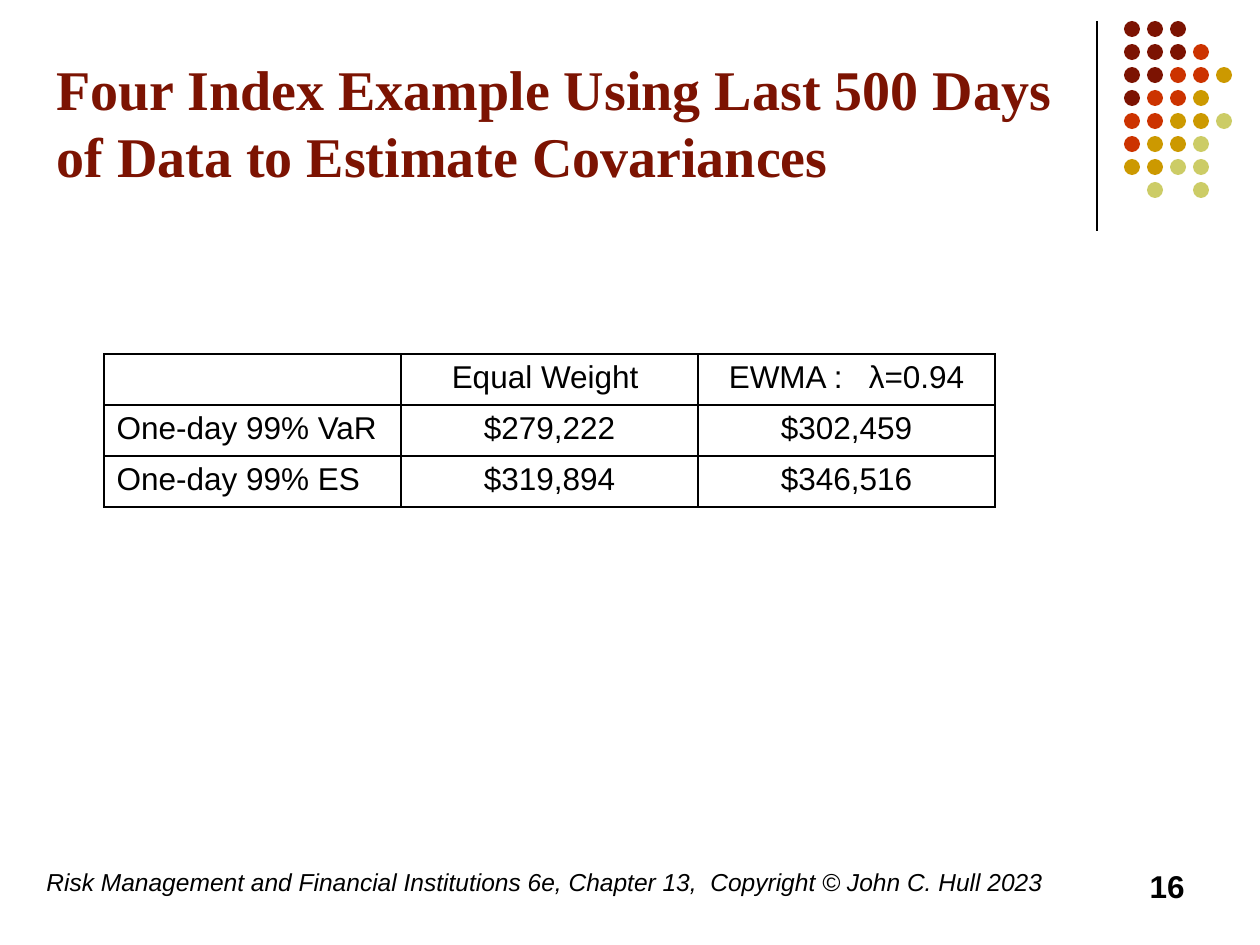
from lxml import etree
from pptx import Presentation
from pptx.dml.color import RGBColor
from pptx.enum.shapes import MSO_CONNECTOR, MSO_SHAPE
from pptx.enum.text import MSO_ANCHOR, PP_ALIGN
from pptx.oxml.ns import qn
from pptx.util import Pt

PX = 914400 / 126
LEFT, CENTER, RIGHT = PP_ALIGN.LEFT, PP_ALIGN.CENTER, PP_ALIGN.RIGHT
TOP, BOTTOM = MSO_ANCHOR.TOP, MSO_ANCHOR.BOTTOM
OVAL, STRAIGHT = MSO_SHAPE.OVAL, MSO_CONNECTOR.STRAIGHT

BLACK = "000000"
MAROON = "7C1302"
DOT_COLORS = {"M": MAROON, "R": "CC3300", "G": "CC9900", "L": "CCCC66"}
DOT_ROWS = ["MMM", "MMMR", "MMRRG", "MRRG", "RRGGL", "RGGL", "GGLL", " L L"]
DOT_SIZE = 16
DOT_PITCH = 23

# A cell is a list of (text, letter spacing in hundredths of a point).
TABLE_ROWS = [
    [[], [("Equal Weight ", 0)], [("EWMA :", 0), (" ", 1000), ("λ=0.94", 0)]],
    [[("One-day 99% VaR", 0)], [("$279,222", 0)], [("$302,459", 0)]],
    [[("One-day 99% ES", 0)], [("$319,894", 0)], [("$346,516", 0)]],
]
COLUMN_WIDTH = 297
ROW_HEIGHT = 51


def px(*lengths):
    return [round(length * PX) for length in lengths]


def rgb(value):
    return RGBColor.from_string(value)


def write(frame, spans, size=18, font="Arial", color=BLACK, bold=False,
          italic=False, align=LEFT):
    """Fill the first paragraph with (text, letter spacing) spans."""
    para = frame.paragraphs[0]
    para.alignment = align
    for text, spacing in spans:
        span = para.add_run()
        span.text = text
        span.font.size = Pt(size)
        span.font.name = font
        span.font.color.rgb = rgb(color)
        span.font.bold = bold
        span.font.italic = italic
        if spacing:
            span.font._element.set("spc", str(spacing))


def add_text(page, text, left, top, width, height, anchor=TOP, **style):
    box = page.shapes.add_textbox(*px(left, top, width, height))
    box.text_frame.word_wrap = True
    box.text_frame.vertical_anchor = anchor
    write(box.text_frame, [(text, 0)], **style)


def add_divider(page, x, top, bottom):
    line = page.shapes.add_connector(STRAIGHT, *px(x, top, x, bottom))
    line.line.color.rgb = rgb(BLACK)
    line.line.width = Pt(0.75)
    etree.SubElement(line._element.spPr, qn("a:effectLst"))


def add_dots(page, left, top):
    group = page.shapes.add_group_shape()
    for row, codes in enumerate(DOT_ROWS):
        for column, code in enumerate(codes):
            if code == " ":
                continue
            dot = group.shapes.add_shape(OVAL, *px(
                left + column * DOT_PITCH, top + row * DOT_PITCH,
                DOT_SIZE, DOT_SIZE))
            dot.shadow.inherit = False
            dot.fill.solid()
            dot.fill.fore_color.rgb = rgb(DOT_COLORS[code])
            dot.line.fill.background()


def add_borders(cell):
    properties = cell._tc.get_or_add_tcPr()
    for index, side in enumerate(("lnL", "lnR", "lnT", "lnB")):
        border = etree.Element(qn(f"a:{side}"), w=str(Pt(1)))
        fill = etree.SubElement(border, qn("a:solidFill"))
        etree.SubElement(fill, qn("a:srgbClr"), val=BLACK)
        properties.insert(index, border)


def add_risk_table(page, left, top):
    rows, columns = len(TABLE_ROWS), len(TABLE_ROWS[0])
    table = page.shapes.add_table(rows, columns, *px(
        left, top, columns * COLUMN_WIDTH, rows * ROW_HEIGHT)).table
    table.first_row = False
    table.horz_banding = False
    for row, row_cells in enumerate(TABLE_ROWS):
        for column, spans in enumerate(row_cells):
            cell = table.cell(row, column)
            cell.fill.background()
            add_borders(cell)
            write(cell.text_frame, spans, align=CENTER if column else LEFT)


def main():
    deck = Presentation()
    deck.slide_width, deck.slide_height = px(1260, 945)
    page = deck.slides.add_slide(deck.slide_layouts[6])
    add_divider(page, 1097, 21, 231)
    add_dots(page, 1124, 21)
    add_text(page, "Four Index Example Using Last 500 Days of Data to Estimate "
             "Covariances", 44, 16, 1042, 179, anchor=BOTTOM, size=32,
             font="Times New Roman", color=MAROON, bold=True)
    add_text(page, "Risk Management and Financial Institutions 6e, Chapter 13,  "
             "Copyright © John C. Hull 2023", 34, 861, 1042, 63,
             size=14, italic=True)
    add_text(page, "16", 903, 861, 294, 63, bold=True, align=RIGHT)
    add_risk_table(page, 104, 354)
    deck.save("out.pptx")


if __name__ == "__main__":
    main()
